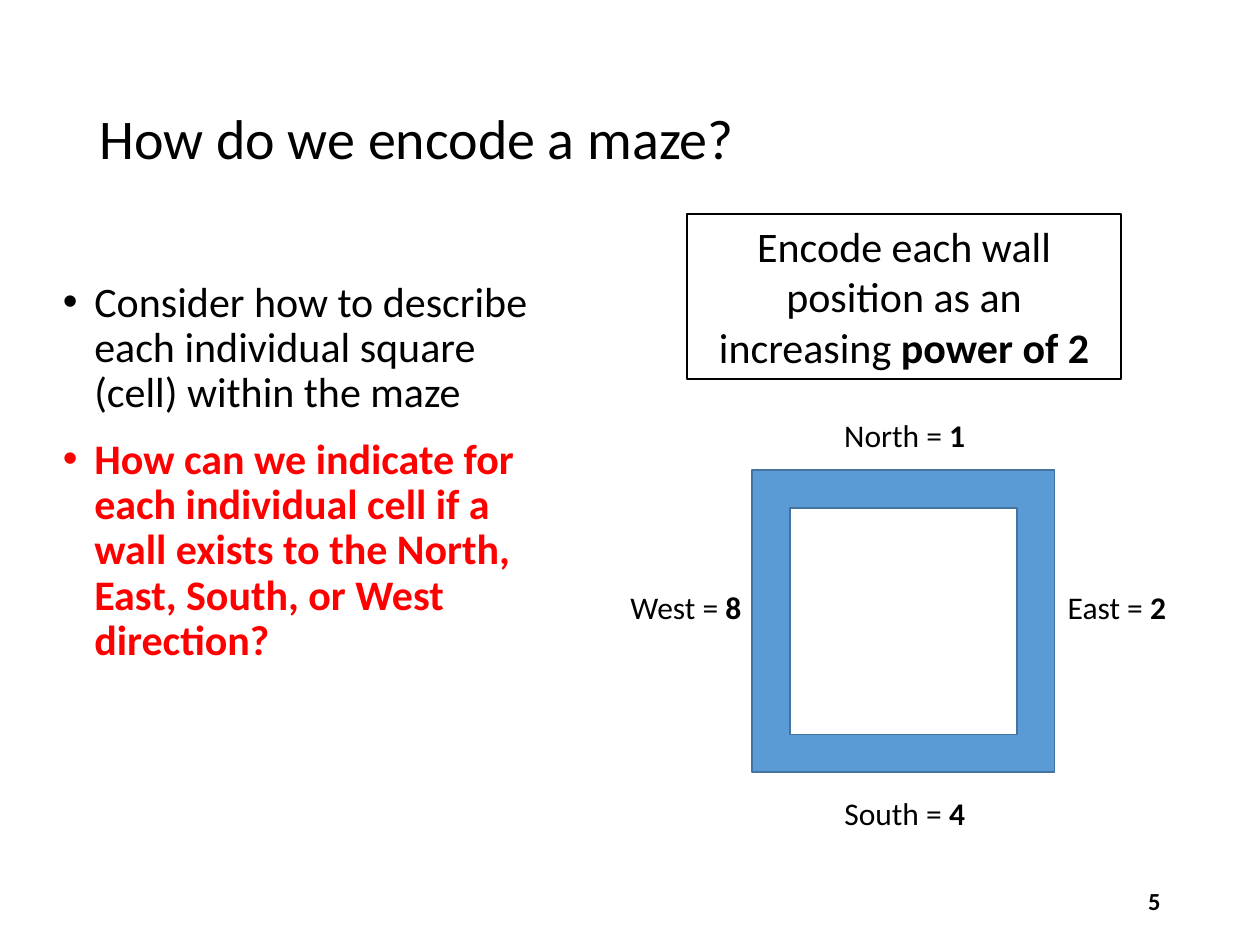
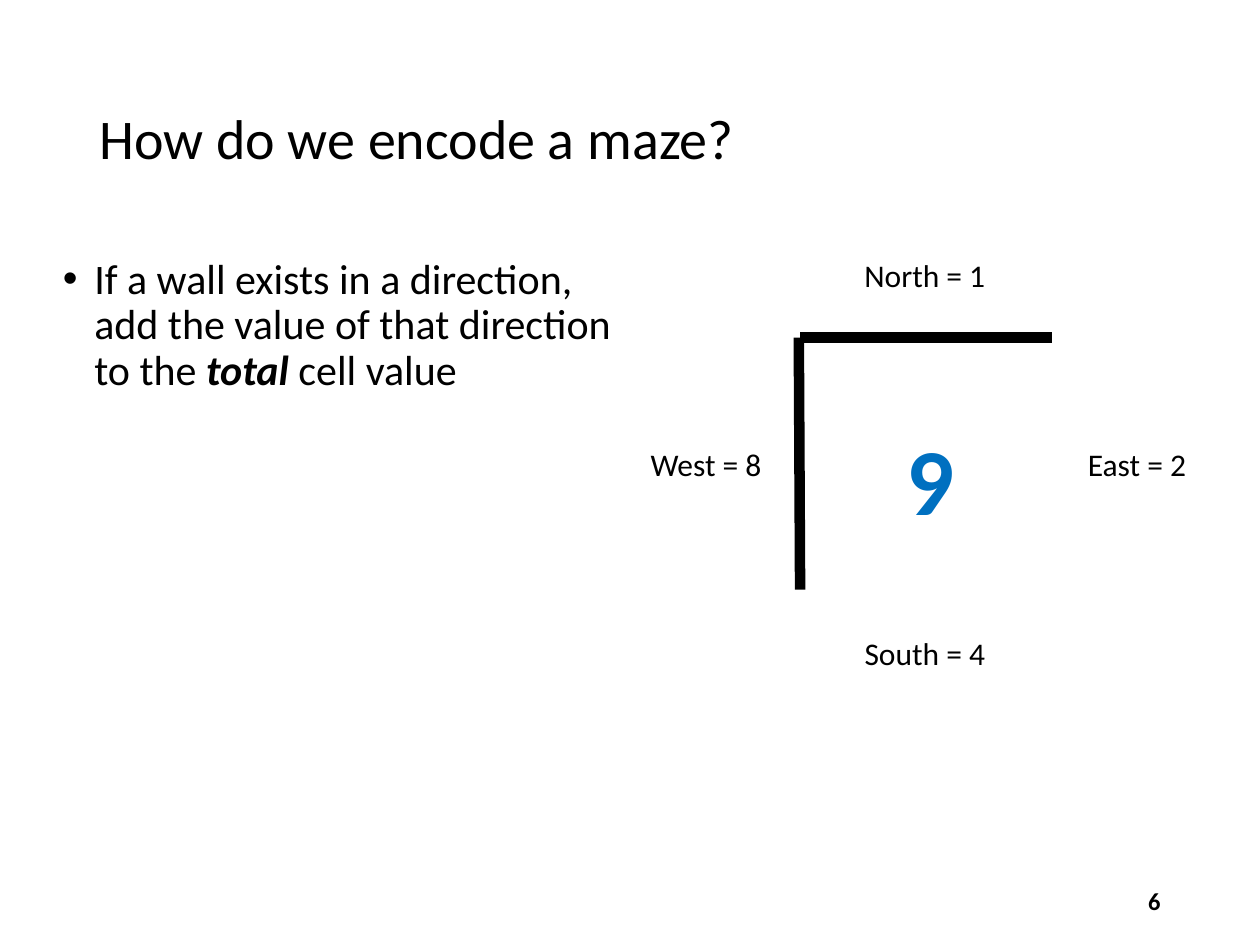
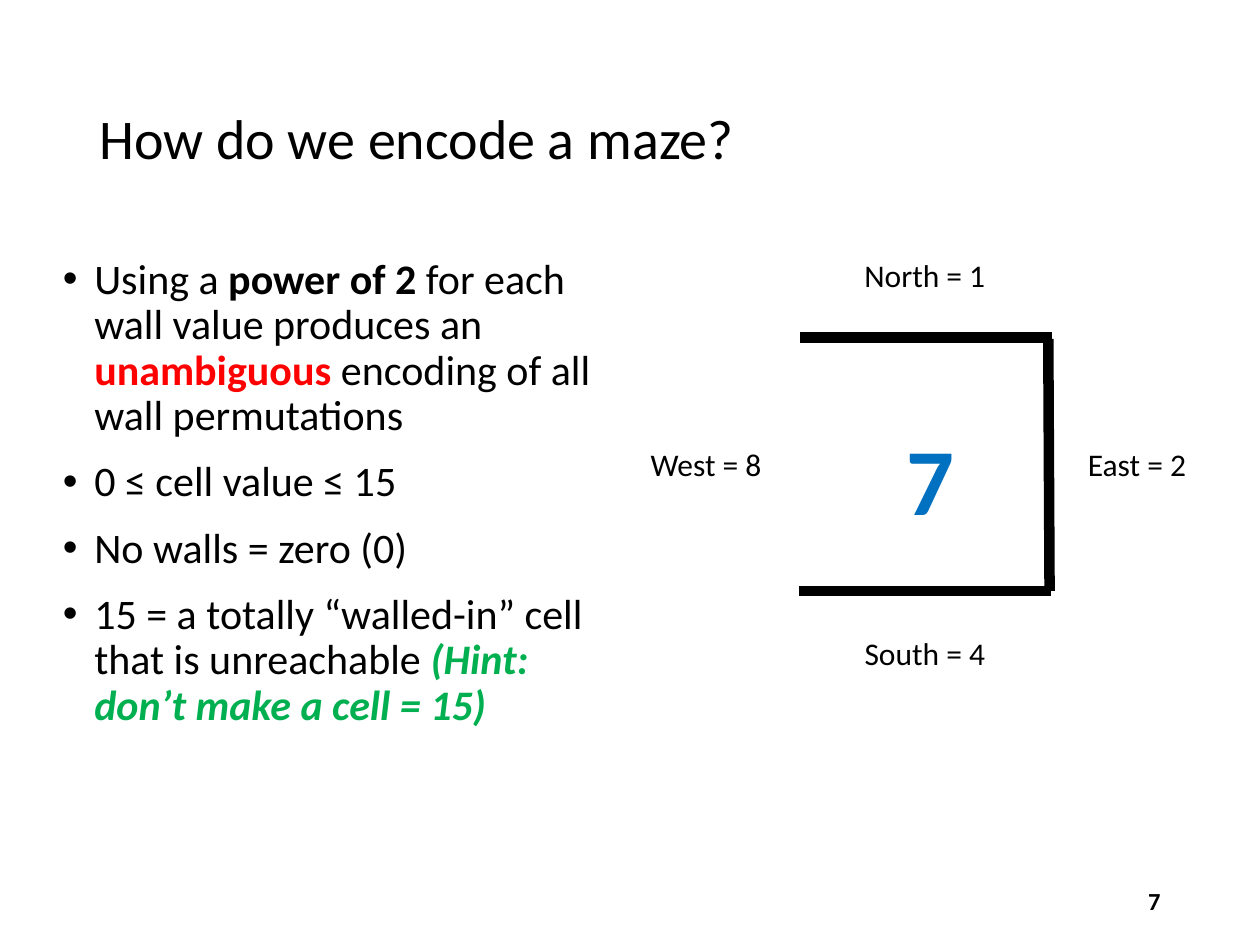
"""Build three slides that explain how the walls of a maze cell are encoded."""
from lxml.etree import SubElement
from pptx import Presentation
from pptx.dml.color import RGBColor
from pptx.enum.shapes import MSO_CONNECTOR, MSO_SHAPE as SHAPE
from pptx.enum.text import MSO_ANCHOR as ANCHOR, PP_ALIGN as ALIGN
from pptx.oxml.ns import qn
from pptx.util import Inches, Pt

BLACK = RGBColor(0x00, 0x00, 0x00)
RED = RGBColor(0xFF, 0x00, 0x00)
GREEN = RGBColor(0x00, 0xB0, 0x50)
TOTAL_BLUE = RGBColor(0x00, 0x70, 0xC0)
WALL_BLUE = RGBColor(0x5B, 0x9B, 0xD5)
EDGE_BLUE = RGBColor(0x43, 0x73, 0x9E)
FONT = "Calibri"
COLUMNS, ROWS = 100, 75

deck = Presentation()
deck.slide_width, deck.slide_height = Inches(10), Inches(7.5)


def place(*cells):
    """Turn alternating columns and rows into lengths."""
    units = (deck.slide_width / COLUMNS, deck.slide_height / ROWS)
    return [round(cell * units[i % 2]) for i, cell in enumerate(cells)]


def write(shape, paragraphs, size, color=BLACK, bold=False, align=ALIGN.LEFT,
          anchor=ANCHOR.TOP, line_spacing=1.0, space_after=0, bullet=False):
    """Fill a shape with paragraphs, each a list of runs (text, bold, italic, color)."""
    frame = shape.text_frame
    frame.word_wrap = True
    frame.vertical_anchor = anchor
    for i, runs in enumerate(paragraphs):
        paragraph = frame.add_paragraph() if i else frame.paragraphs[0]
        paragraph.alignment = align
        paragraph.line_spacing = line_spacing
        paragraph.space_after = Pt(space_after)
        if bullet:
            properties = paragraph._p.get_or_add_pPr()
            properties.set("marL", str(Inches(0.25)))
            properties.set("indent", str(-Inches(0.25)))
            SubElement(properties, qn("a:buFont"), typeface="Arial")
            SubElement(properties, qn("a:buChar"), char="•")
        for text, *emphasis in runs:
            run = paragraph.add_run()
            run.text = text
            run_bold, italic, run_color = emphasis or (bold, False, color)
            run.font.name, run.font.size = FONT, Pt(size)
            run.font.bold, run.font.italic = run_bold, italic
            run.font.color.rgb = run_color


DIRECTIONS = {"North": 1, "East": 2, "South": 4, "West": 8}
WALL_ENDS = {
    "North": (63.5, 26.8, 83.5, 26.8),
    "East": (83.2, 26.9, 83.3, 46.9),
    "South": (63.4, 46.9, 83.4, 46.9),
    "West": (63.4, 26.8, 63.5, 46.8),
}
PAGES = [
    dict(
        points=[
            [("Consider how to describe each individual square (cell) within the maze",)],
            [("How can we indicate for each individual cell if a wall exists to the North, "
              "East, South, or West direction?", True, False, RED)],
        ],
        points_at=(4, 21.8, 40.9, 47.6), compass=(65.4, 32.5), middle=13.7, walls=[],
    ),
    dict(
        points=[
            [("If a wall exists in a direction, add the value of that direction to the ",),
             ("total", True, True, BLACK), (" cell value",)],
        ],
        points_at=(4, 20, 45.9, 47.6), compass=(67, 19.8), middle=15,
        walls=["North", "West"],
    ),
    dict(
        points=[
            [("Using a ",), ("power of 2 ", True, False, BLACK),
             ("for each wall value produces an ",), ("unambiguous", True, False, RED),
             (" encoding of all wall permutations",)],
            [("0 ≤ cell value ≤ 15",)],
            [("No walls = zero (0)",)],
            [("15 = a totally “walled-in” cell that is unreachable ",),
             ("(Hint: don’t make a cell = 15)", True, True, GREEN)],
        ],
        points_at=(4, 20, 45.9, 47.6), compass=(67, 19.8), middle=15,
        walls=["North", "East", "South"],
    ),
]

for number, page in enumerate(PAGES, start=5):
    slide = deck.slides.add_slide(deck.slide_layouts[6])
    shapes = slide.shapes
    walls = page["walls"]

    title = shapes.add_textbox(*place(6.9, 4, 86.2, 14.5))
    write(title, [[("How do we encode a maze?",)]], 32, anchor=ANCHOR.MIDDLE, line_spacing=0.9)
    points = shapes.add_textbox(*place(*page["points_at"]))
    write(points, page["points"], 24, line_spacing=0.9, space_after=12, bullet=True)

    if not walls:
        cell = shapes.add_shape(SHAPE.FRAME, *place(59.7, 37.3, 24, 24))
        cell.shadow.inherit = False
        cell.fill.solid()
        cell.fill.fore_color.rgb = WALL_BLUE
        cell.line.color.rgb, cell.line.width = EDGE_BLUE, Pt(1)

        rule = shapes.add_shape(SHAPE.RECTANGLE, *place(54.5, 17, 34.5, 13.1))
        rule.shadow.inherit = False
        rule.fill.background()
        rule.line.color.rgb, rule.line.width = BLACK, Pt(1)
        write(rule, [[("Encode each wall position as an increasing ",),
                      ("power of 2", True, False, BLACK)]], 24, align=ALIGN.CENTER)

    left, top = page["compass"]
    offsets = {"North": (0, 0), "East": (18.35, page["middle"]),
               "South": (0, 30), "West": (-16.35, page["middle"])}
    for direction, value in DIRECTIONS.items():
        across, down = offsets[direction]
        label = shapes.add_textbox(*place(left + across, top + down, 12.8, 4))
        write(label, [[(f"{direction} = ",), (str(value), not walls, False, BLACK)]], 18,
              align=ALIGN.LEFT if across else ALIGN.CENTER)

    for direction in walls:
        wall = shapes.add_connector(MSO_CONNECTOR.STRAIGHT, *place(*WALL_ENDS[direction]))
        wall.line.color.rgb, wall.line.width = BLACK, Pt(6)
        SubElement(wall._element.spPr, qn("a:effectLst"))

    if walls:
        total = shapes.add_textbox(*place(67.9, 32.9, 11.9, 10.1))
        cell_value = sum(DIRECTIONS[direction] for direction in walls)
        write(total, [[(str(cell_value),)]], 54, color=TOTAL_BLUE, bold=True, align=ALIGN.CENTER)

    page_number = shapes.add_textbox(*place(70.6, 69.5, 22.5, 4))
    write(page_number, [[(str(number),)]], 14, bold=True, align=ALIGN.RIGHT, anchor=ANCHOR.MIDDLE)

deck.save("out.pptx")
